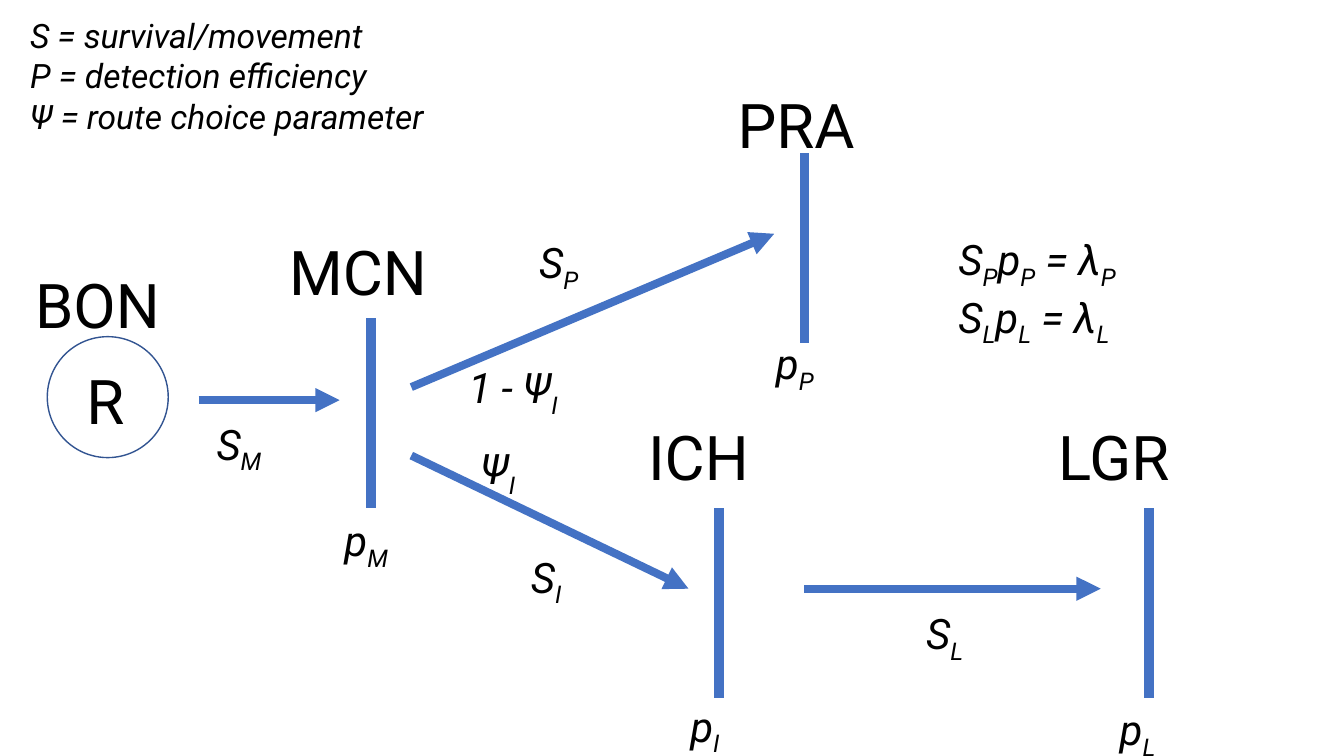
from dataclasses import dataclass

import pptx
import pptx.dml.color
import pptx.enum.shapes
import pptx.enum.text
import pptx.oxml.ns
import pptx.slide
import pptx.util
from lxml import etree

BLUE = pptx.dml.color.RGBColor(0x44, 0x72, 0xC4)
DARK_BLUE = pptx.dml.color.RGBColor(0x32, 0x54, 0x91)
BLACK = pptx.dml.color.RGBColor(0, 0, 0)

FONT = "Roboto"
BAR_HEIGHT = 135.4
SUBSCRIPT = "-25000"
Pt = pptx.util.Pt


@dataclass(frozen=True)
class Site:
    name: str
    left: float
    top: float
    width: float = 130.3


@dataclass(frozen=True)
class Bar:
    x: float
    top: float


@dataclass(frozen=True)
class Arrow:
    start_x: float
    start_y: float
    end_x: float
    end_y: float


@dataclass(frozen=True)
class Formula:
    """Runs alternate between normal text and subscript."""
    runs: tuple[str, ...]
    left: float
    top: float
    width: float = 54.7


SITES = (
    Site("R", 54.7, 255.6, 54.7),
    Site("BON", 18, 187.2, 126.7),
    Site("MCN", 199.4, 163.4),
    Site("ICH", 455.8, 295.9),
    Site("LGR", 748.8, 295.9),
    Site("PRA", 519.8, 58.3),
)
BARS = (
    Bar(265, 227.5),
    Bar(513.4, 362.9),
    Bar(820.8, 362.9),
    Bar(574.6, 109.4),
)
ARROWS = (
    Arrow(141.8, 285.8, 242.6, 285.8),
    Arrow(293.8, 325.4, 491.8, 420.5),
    Arrow(574.6, 420.5, 786.2, 420.5),
    Arrow(293.8, 276.5, 553, 167),
)
FORMULAS = (
    Formula(("S", "M"), 147.6, 295.2),
    Formula(("S", "I"), 372.2, 390.2),
    Formula(("S", "P"), 378, 165.6),
    Formula(("p", "M"), 239, 364.3),
    Formula(("p", "I"), 486, 496.8),
    Formula(("p", "L"), 792.7, 499),
    Formula(("p", "P"), 547.2, 237.6),
    Formula(("S", "L"), 654.5, 430.6),
    Formula(("Ψ", "I"), 336.2, 312.5, 157),
    Formula(("1 - Ψ", "I"), 327.6, 254.9, 157),
    Formula(("S", "P", "p", "P", " = λ", "P"), 677.5, 163.4, 157),
    Formula(("S", "L", "p", "L", " = λ", "L"), 677.5, 204.5, 157),
)
LEGEND = (
    ("S = survival/movement",),
    ("P = detection efficiency",),
    ("Ψ = route choice parameter",),
)


def add_text(slide: pptx.slide.Slide, lines: tuple[tuple[str, ...], ...],
             left: float, top: float, width: float, height: float,
             size: float, italic: bool) -> None:
    shape = slide.shapes.add_textbox(Pt(left), Pt(top), Pt(width), Pt(height))
    frame = shape.text_frame
    frame.word_wrap = True
    frame.auto_size = pptx.enum.text.MSO_AUTO_SIZE.SHAPE_TO_FIT_TEXT
    for line_index, line in enumerate(lines):
        paragraph = frame.add_paragraph() if line_index else frame.paragraphs[0]
        for run_index, text in enumerate(line):
            run = paragraph.add_run()
            run.text = text
            run.font.name = FONT
            run.font.size = Pt(size)
            run.font.italic = italic
            run.font.color.rgb = BLACK
            if run_index % 2:
                run._r.get_or_add_rPr().set("baseline", SUBSCRIPT)


def add_line(slide: pptx.slide.Slide, start_x: float, start_y: float,
             end_x: float, end_y: float, weight: float, arrowhead: bool) -> None:
    connector = slide.shapes.add_connector(
        pptx.enum.shapes.MSO_CONNECTOR.STRAIGHT,
        Pt(start_x), Pt(start_y), Pt(end_x), Pt(end_y))
    connector.line.color.rgb = BLUE
    connector.line.width = Pt(weight)
    if arrowhead:
        outline = connector.line._get_or_add_ln()
        etree.SubElement(outline, pptx.oxml.ns.qn("a:tailEnd"), type="triangle")
    etree.SubElement(connector._element.spPr, pptx.oxml.ns.qn("a:effectLst"))


def add_release_circle(slide: pptx.slide.Slide) -> None:
    shape = slide.shapes.add_shape(
        pptx.enum.shapes.MSO_SHAPE.OVAL, Pt(33.8), Pt(240.5), Pt(86.4), Pt(86.4))
    shape.shadow.inherit = False
    shape.fill.background()
    shape.line.color.rgb = DARK_BLUE
    shape.line.width = Pt(1)


def main() -> None:
    presentation = pptx.Presentation()
    presentation.slide_width = Pt(960)
    presentation.slide_height = Pt(540)
    slide = presentation.slides.add_slide(presentation.slide_layouts[6])

    for bar in BARS:
        add_line(slide, bar.x, bar.top, bar.x, bar.top + BAR_HEIGHT, 7, False)
    for arrow in ARROWS:
        add_line(slide, arrow.start_x, arrow.start_y, arrow.end_x, arrow.end_y,
                 5.75, True)
    for site in SITES:
        add_text(slide, ((site.name,),), site.left, site.top, site.width, 60.5,
                 44, False)
    for formula in FORMULAS:
        add_text(slide, (formula.runs,), formula.left, formula.top,
                 formula.width, 43.9, 30, True)
    add_release_circle(slide)
    add_text(slide, LEGEND, 14.4, 7.2, 363.6, 118.8, 24, True)

    presentation.save("out.pptx")


if __name__ == "__main__":
    main()
